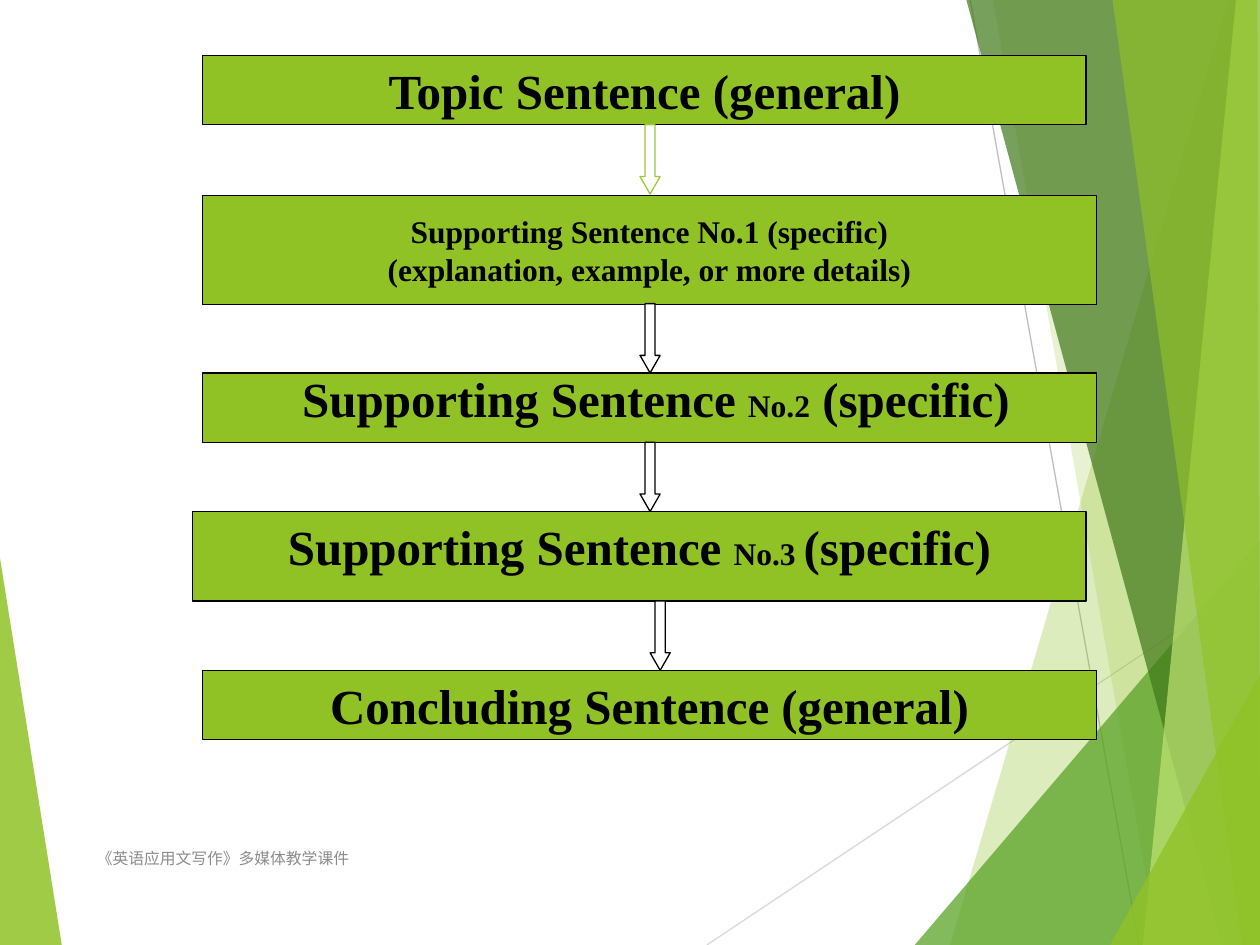
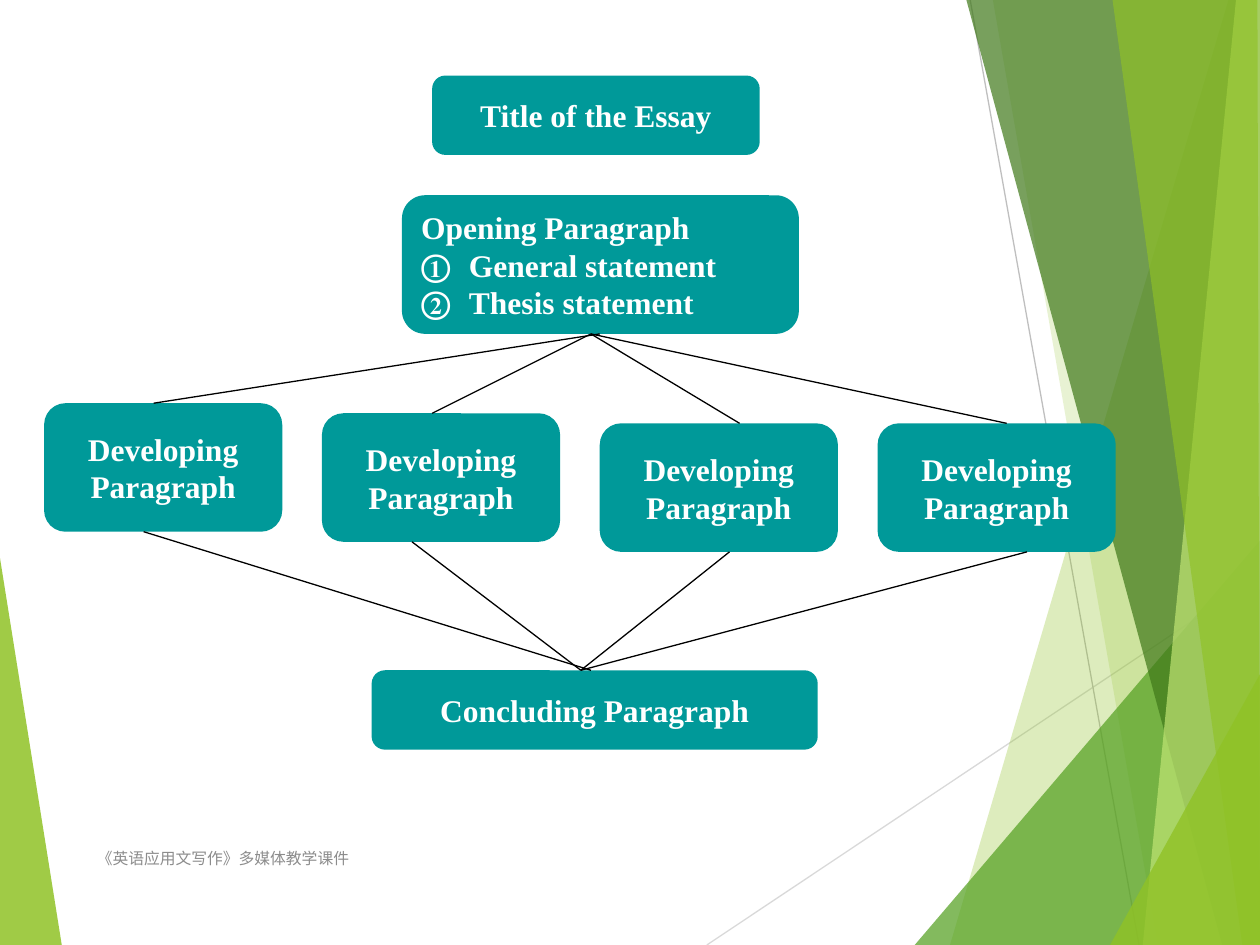
from lxml.etree import SubElement
from pptx import Presentation
from pptx.dml.color import RGBColor
from pptx.enum.shapes import MSO_CONNECTOR, MSO_SHAPE
from pptx.enum.text import MSO_ANCHOR, PP_ALIGN
from pptx.oxml.ns import qn
from pptx.util import Inches, Pt

BLACK = RGBColor(0x00, 0x00, 0x00)
WHITE = RGBColor(0xFF, 0xFF, 0xFF)
GREEN = RGBColor(0x90, 0xC2, 0x26)
MID_GREEN = RGBColor(0x54, 0xA0, 0x21)
DARK_GREEN = RGBColor(0x3F, 0x78, 0x19)
LIGHT_GREEN = RGBColor(0xC0, 0xE4, 0x74)
ARROW_GREEN = RGBColor(0x99, 0xCA, 0x3C)
TEAL = RGBColor(0x00, 0x99, 0x99)
GREY = RGBColor(0x8C, 0x8C, 0x8C)
RULE_GREY = RGBColor(0xBF, 0xBF, 0xBF)
PALE_GREY = RGBColor(0xD9, 0xD9, 0xD9)

FOOTER = "《英语应用文写作》多媒体教学课件"
RULES = [((5.61, 7.5), (10, 4.57), PALE_GREY), ((7.7, 0), (9.04, 7.5), RULE_GREY)]
# Colour, opacity in percent, corners
FACETS = [
    (GREEN, 85, [(0, 4.43), (0.49, 7.5), (0, 7.5)]),
    (GREEN, 30, [(9.75, 0), (7.54, 7.5), (10, 7.5), (10, 0)]),
    (GREEN, 20, [(7.88, 0), (9.19, 7.5), (10, 7.5), (10, 0)]),
    (MID_GREEN, 72, [(7.26, 7.5), (10, 4.29), (10, 7.5)]),
    (DARK_GREEN, 70, [(7.67, 0), (9.7, 7.5), (10, 7.5), (10, 0)]),
    (LIGHT_GREEN, 70, [(9.81, 0), (9.07, 7.5), (10, 7.5), (10, 0)]),
    (GREEN, 65, [(8.83, 0), (9.86, 7.5), (10, 7.5), (9.98, 0)]),
    (GREEN, 80, [(8.81, 7.5), (10, 5.35), (10, 7.5)]),
]


class Deck:
    """Holds the shared style and the slide being built."""

    font = "Times New Roman"
    line_width = Pt(0.75)

    def __init__(self):
        self.prs = Presentation()
        self.prs.slide_width, self.prs.slide_height = Inches(10), Inches(7.5)
        self.layout = self.prs.slide_layouts[6]
        for ph in list(self.layout.placeholders):
            ph.element.getparent().remove(ph.element)
        self.s = None

    def new_slide(self):
        self.s = self.prs.slides.add_slide(self.layout)
        if len(self.prs.slides) == 1:
            self.decorate_layout()
        tf = self.s.shapes.add_textbox(*map(Inches, (0.67, 6.61, 5.06, 0.4))).text_frame
        tf.word_wrap = True
        tf.vertical_anchor = MSO_ANCHOR.MIDDLE
        self.run(tf.paragraphs[0], FOOTER, GREY, name="Karla", size=Pt(9), bold=False)

    def decorate_layout(self):
        """Draw the facets on the first slide, then move them to the layout."""
        shapes = [self.line(*rule) for rule in RULES]
        shapes[1:1] = [self.facet(*FACETS[0])]
        shapes += [self.facet(*facet) for facet in FACETS[1:]]
        for sp in shapes:
            self.layout.shapes.element.append(sp.element)

    def paint(self, sp, fill, line=None):
        sp.shadow.inherit = False
        sp.fill.solid()
        sp.fill.fore_color.rgb = fill
        if line is None:
            sp.line.fill.background()
        else:
            sp.line.color.rgb = line
            sp.line.width = self.line_width

    def facet(self, color, opacity, corners):
        points = [(Inches(x), Inches(y)) for x, y in corners]
        builder = self.s.shapes.build_freeform(*points[0])
        builder.add_line_segments(points[1:], close=True)
        sp = builder.convert_to_shape()
        self.paint(sp, color)
        rgb = sp.element.spPr.find(".//" + qn("a:srgbClr"))
        SubElement(rgb, qn("a:alpha"), val=str(opacity * 1000))
        return sp

    def line(self, start, end, color=BLACK):
        ends = map(Inches, (*start, *end))
        sp = self.s.shapes.add_connector(MSO_CONNECTOR.STRAIGHT, *ends)
        sp.line.color.rgb = color
        sp.line.width = self.line_width
        SubElement(sp.element.spPr, qn("a:effectLst"))
        return sp

    def arrow(self, left, top, color=BLACK):
        sp = self.s.shapes.add_shape(MSO_SHAPE.DOWN_ARROW, *map(Inches, (left, top, 0.16, 0.55)))
        sp.adjustments[0], sp.adjustments[1] = 0.5, 0.87
        self.paint(sp, WHITE, color)

    def run(self, p, text, color, **fmt):
        r = p.add_run()
        r.text = text
        for key, value in ({"name": self.font, "bold": True} | fmt).items():
            setattr(r.font, key, value)
        r.font.color.rgb = color

    def box(self, kind, at, lines, fill, ink, line=None, align=PP_ALIGN.CENTER, **margins):
        """Add a filled box; each line is a list of (text, point size) runs."""
        sp = self.s.shapes.add_shape(kind, *map(Inches, at))
        self.paint(sp, fill, line)
        tf = sp.text_frame
        tf.word_wrap = align == PP_ALIGN.LEFT
        tf.vertical_anchor = MSO_ANCHOR.MIDDLE
        for side, gap in margins.items():
            setattr(tf, "margin_" + side, Inches(gap))
        for i, runs in enumerate(lines):
            p = tf.add_paragraph() if i else tf.paragraphs[0]
            p.alignment = align
            for text, size in runs:
                self.run(p, text, ink, size=Pt(size))
        return sp

    def sentence(self, at, *lines, **margins):
        self.box(MSO_SHAPE.RECTANGLE, at, lines, GREEN, BLACK, BLACK, **margins)

    def paragraph_box(self, at, *lines, align=PP_ALIGN.CENTER):
        return self.box(MSO_SHAPE.FLOWCHART_ALTERNATE_PROCESS, at,
                        [[(text, 18)] for text in lines], TEAL, WHITE, align=align)

    def number(self, p):
        """Give a paragraph a circled number with a hanging indent."""
        pPr = p._p.get_or_add_pPr()
        pPr.set("marL", str(Inches(0.38)))
        pPr.set("indent", str(-Inches(0.38)))
        SubElement(pPr, qn("a:buFont"), typeface="+mj-lt")
        SubElement(pPr, qn("a:buAutoNum"), type="circleNumDbPlain")


def paragraph_structure(deck):
    deck.new_slide()
    raised = {"top": 0, "bottom": 0.16}
    deck.sentence((1.61, 0.44, 7.01, 0.55), [("Topic Sentence (general)", 28)])
    deck.sentence((1.61, 1.55, 7.09, 0.87),
                  [("Supporting Sentence No.1 (specific)", 18)],
                  [("(explanation, example, or more details)", 18)])
    deck.sentence((1.61, 2.96, 7.09, 0.55),
                  [("Supporting Sentence ", 28), ("No.2", 18), (" (specific)", 28)],
                  left=0.2, **raised)
    deck.sentence((1.53, 4.06, 7.09, 0.71),
                  [("Supporting Sentence ", 28), ("No.3 ", 18), ("(specific)", 28)], **raised)
    deck.sentence((1.61, 5.32, 7.09, 0.55), [("Concluding Sentence (general)", 28)])
    deck.arrow(5.08, 0.99, ARROW_GREEN)
    for left, top in [(5.08, 2.41), (5.08, 3.51), (5.16, 4.77)]:
        deck.arrow(left, top)


def essay_structure(deck):
    deck.new_slide()
    deck.paragraph_box((3.43, 0.6, 2.6, 0.63), "Title of the Essay")
    opening = deck.paragraph_box((3.19, 1.55, 3.15, 1.1), "Opening Paragraph",
                                 "General statement", "Thesis statement", align=PP_ALIGN.LEFT)
    for p in opening.text_frame.paragraphs[1:]:
        deck.number(p)
    deck.paragraph_box((2.95, 5.32, 3.54, 0.63), "Concluding Paragraph")

    # Box top, line from the opening (x, x), line to the conclusion (x, x)
    developing = [
        (3.2, (4.76, 1.22), (1.14, 4.69)),
        (3.28, (4.69, 3.43), (3.27, 4.61)),
        (3.36, (4.69, 5.87), (5.79, 4.61)),
        (3.36, (4.69, 7.99), (8.15, 4.61)),
    ]
    height = 1.02
    for i, (top, (x1, x2), (x3, x4)) in enumerate(developing):
        deck.paragraph_box((0.35 + 2.205 * i, top, 1.89, height), "Developing", "Paragraph")
        deck.line((x1, 2.65), (x2, top))
        deck.line((x3, top + height), (x4, 5.32))


def main():
    deck = Deck()
    paragraph_structure(deck)
    essay_structure(deck)
    deck.prs.save("out.pptx")


if __name__ == "__main__":
    main()
